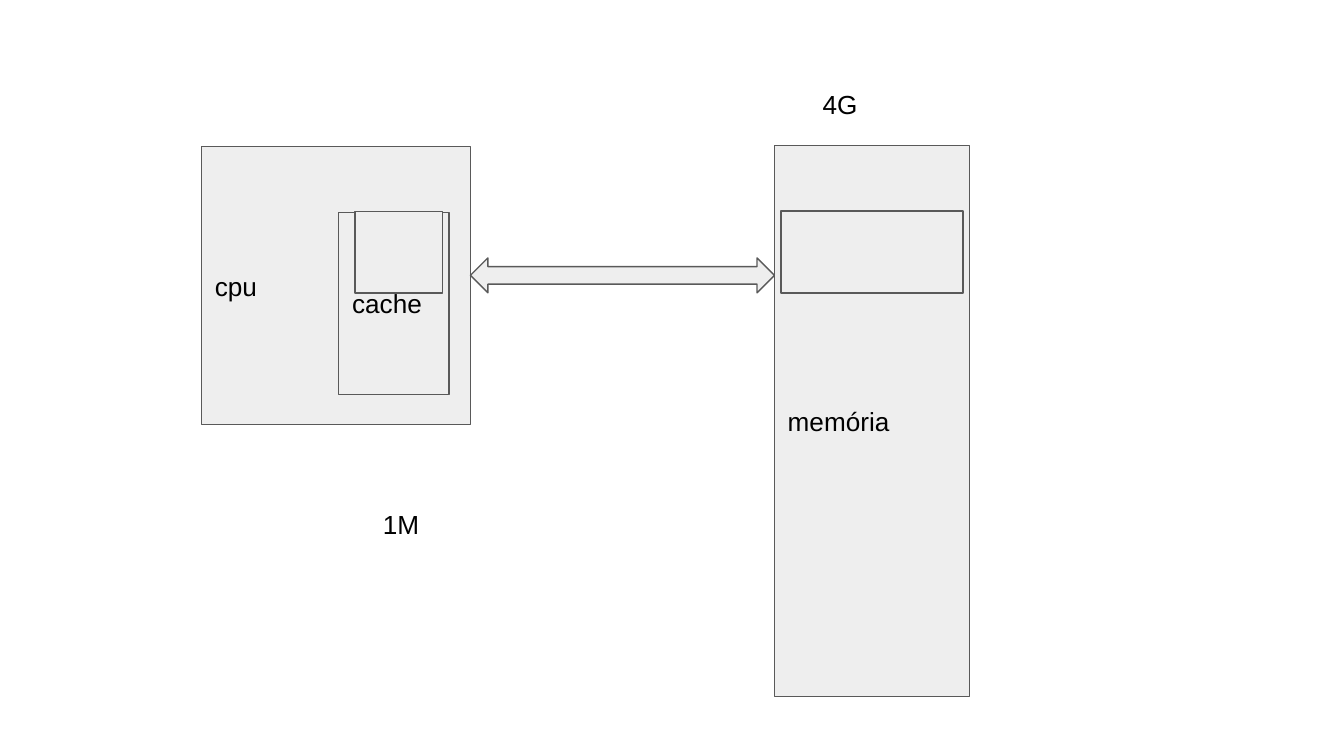
from pptx import Presentation
from pptx.dml.color import RGBColor
from pptx.enum.shapes import MSO_SHAPE as Shape
from pptx.enum.text import MSO_ANCHOR as Anchor, MSO_AUTO_SIZE as AutoSize, PP_ALIGN as Align
from pptx.util import Pt

COLORS = {"fill": "EEEEEE", "line": "595959", "text": "000000"}
INSET = 7.2
BLOCK_HEIGHT = 43.9


def color(name):
    return RGBColor.from_string(COLORS[name])


def write(shape, text, anchor):
    frame = shape.text_frame
    frame.word_wrap = True
    frame.vertical_anchor = anchor
    frame.margin_left = frame.margin_right = Pt(INSET)
    frame.margin_top = frame.margin_bottom = Pt(INSET)
    frame.text = text
    paragraph = frame.paragraphs[0]
    paragraph.alignment = Align.LEFT
    font = paragraph.runs[0].font
    font.name = "Arial"
    font.size = Pt(14)
    font.color.rgb = color("text")


def add_block(slide, left, top, width, height, text="", kind=Shape.RECTANGLE):
    shape = slide.shapes.add_shape(kind, Pt(left), Pt(top), Pt(width), Pt(height))
    shape.shadow.inherit = False
    shape.fill.solid()
    shape.fill.fore_color.rgb = color("fill")
    shape.line.color.rgb = color("line")
    shape.line.width = Pt(0.75)
    if text:
        write(shape, text, Anchor.MIDDLE)
    return shape


def add_size_label(slide, left, top, width, text):
    label = slide.shapes.add_textbox(Pt(left), Pt(top), Pt(width), Pt(31.7))
    write(label, text, Anchor.TOP)
    label.text_frame.auto_size = AutoSize.SHAPE_TO_FIT_TEXT


def add_cpu(slide, left, top, width, height):
    """Draw the processor with its cache, the cached block and the cache size."""
    add_block(slide, left, top, width, height, "cpu")
    add_block(slide, left + 73.5, top + 35.4, 59, 97.2, "cache")
    add_block(slide, left + 82.2, top + 34.6, 46.8, BLOCK_HEIGHT)
    add_size_label(slide, left + 90, top + height + 37.5, 358.6, "1M")


def add_memory(slide, left, top, width, height):
    """Draw the main memory with one block and the memory size above."""
    add_block(slide, left, top, width, height, "memória")
    add_block(slide, left + 3.6, top + 35.2, width - 7.2, BLOCK_HEIGHT)
    add_size_label(slide, left + 18.7, top - 37.5, 260, "4G")


def add_bus(slide, left, top, width, height):
    arrow = add_block(slide, left, top, width, height, kind=Shape.LEFT_RIGHT_ARROW)
    arrow.adjustments[0] = 0.5
    arrow.adjustments[1] = 0.5


def main():
    presentation = Presentation()
    presentation.slide_width = Pt(720)
    presentation.slide_height = Pt(405)
    slide = presentation.slides.add_slide(presentation.slide_layouts[6])

    cpu_left, cpu_width, memory_left = 108, 144, 414.9
    cpu_right = cpu_left + cpu_width
    add_cpu(slide, cpu_left, 78.6, cpu_width, 149)
    add_memory(slide, memory_left, 77.9, 104.6, 295.2)
    add_bus(slide, cpu_right, 138.2, memory_left - cpu_right, 18.7)

    presentation.save("out.pptx")


if __name__ == "__main__":
    main()
